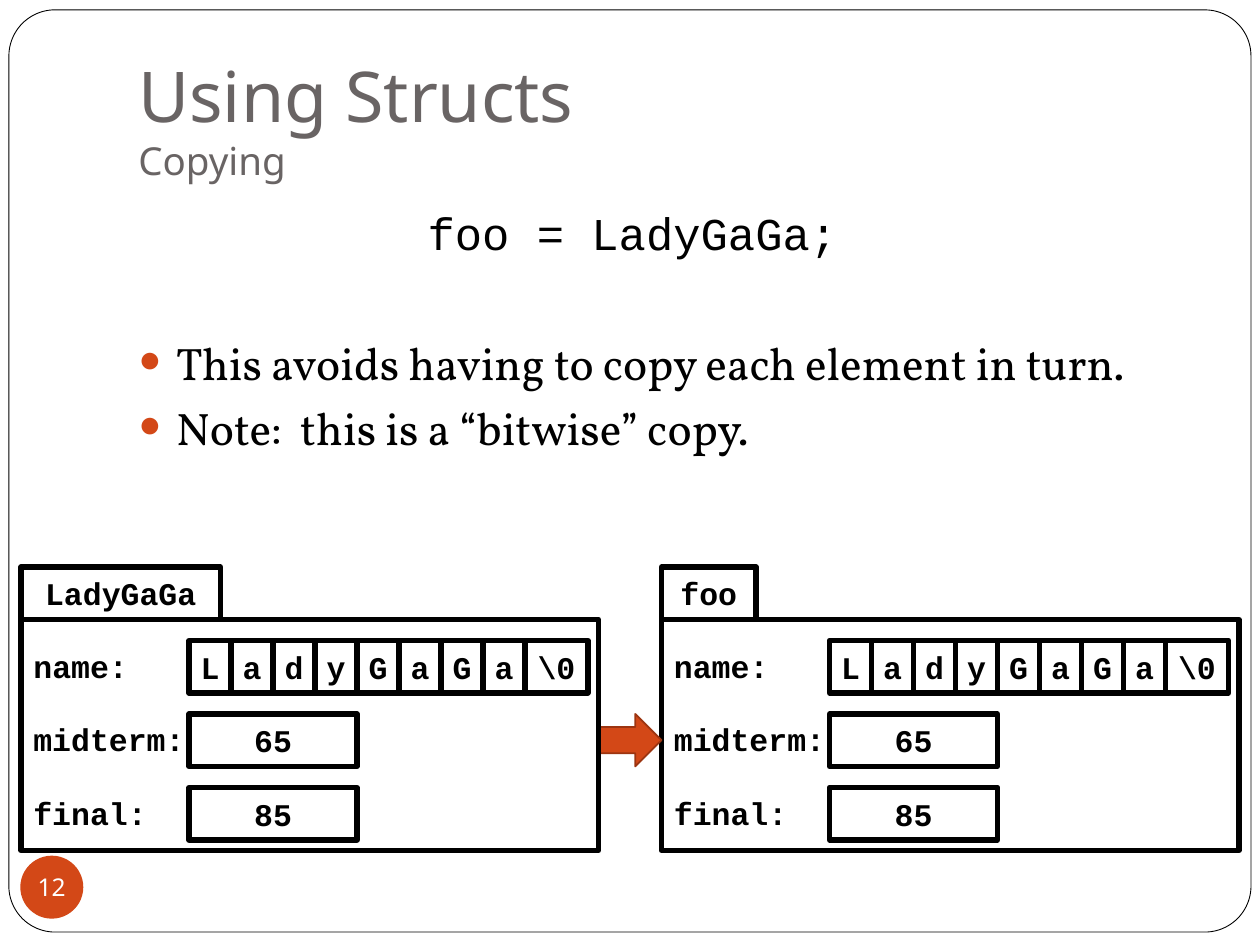
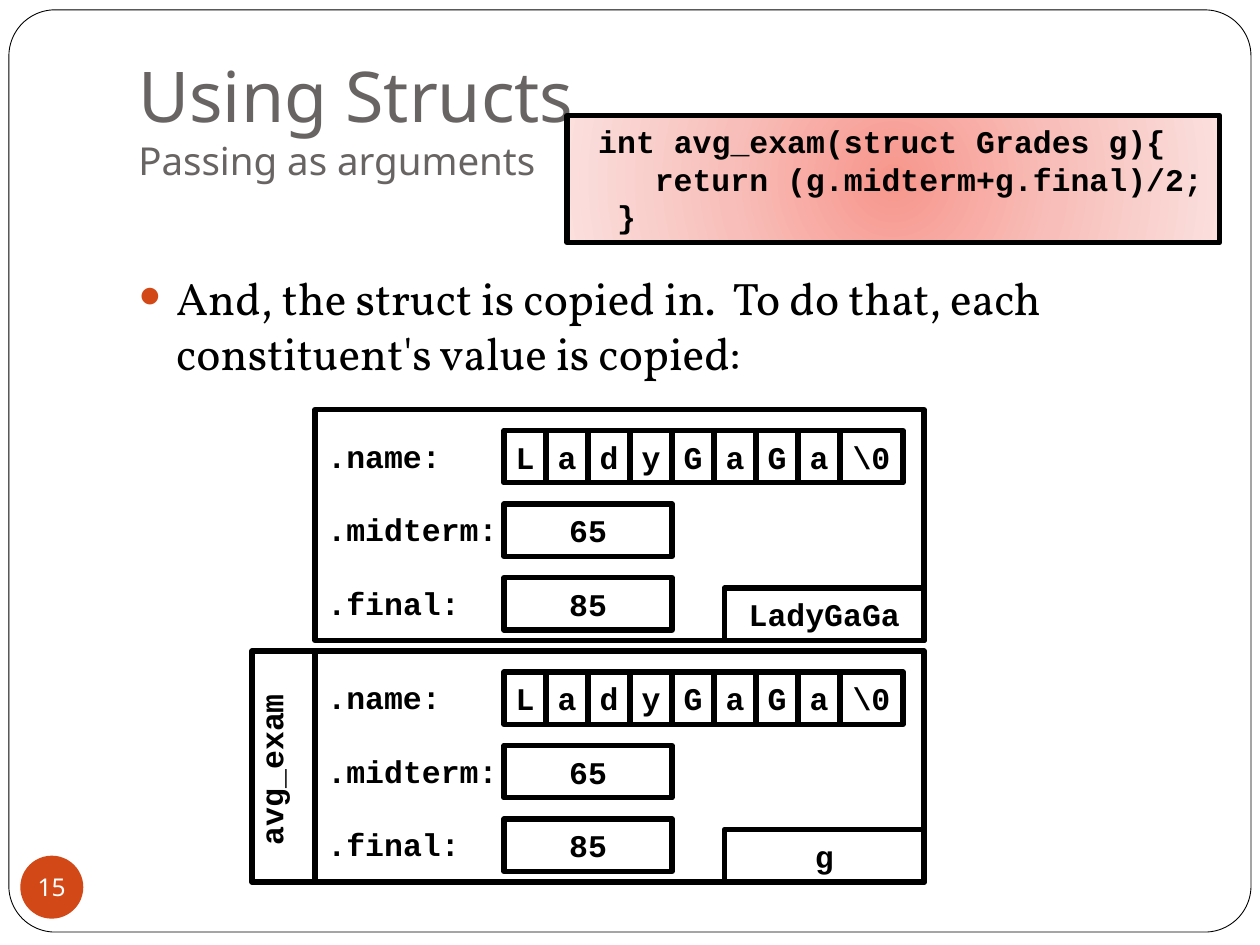
from lxml.etree import SubElement
from pptx import Presentation
from pptx.dml.color import RGBColor
from pptx.enum.shapes import MSO_SHAPE as Preset
from pptx.enum.text import MSO_ANCHOR as Anchor, MSO_AUTO_SIZE as AutoSize, PP_ALIGN as Align
from pptx.oxml import parse_xml
from pptx.oxml.ns import nsdecls, qn
from pptx.util import Cm, Pt

COLORS = {
    "ink": "000000", "paper": "FFFFFF", "title": "696464",
    "accent": "D34817", "accent_edge": "9C3511",
    "glow": "F7968C", "glow_mid": "F8BFBA", "glow_edge": "FBE0DE",
}
CODE, BODY, HEAD = "Courier New", "Vollkorn", "Noto Sans"
GRID = 2.54 / 12
CHAR = 0.38
BOX_HEIGHT, ROW_STEP, PANEL_HEIGHT = 5, 7, 22
LETTER_WIDTH, END_WIDTH, SCORE_WIDTH = 4, 6, 16
LINE_GAP, BLANK_LINE_GAP = 5.8, 43


def color(name):
    return RGBColor.from_string(COLORS[name])


def grid(*units):
    return [Cm(unit * GRID) for unit in units]


class Deck:
    def __init__(self):
        self.presentation = Presentation()
        self.presentation.slide_width = Cm(25.4)
        self.presentation.slide_height = Cm(19.05)
        self.slide = None

    def add_slide(self, subtitle, number):
        layout = self.presentation.slide_layouts[1]
        self.slide = self.presentation.slides.add_slide(layout)
        if len(self.presentation.slides) == 1:
            self.master_frame()
        self.title("Using Structs", subtitle)
        self.page_number(number)

    def format_runs(self, paragraph, font, size, ink="ink", bold=False):
        for run in paragraph.runs:
            run.font.name = font
            run.font.size = Pt(size)
            run.font.bold = bold
            run.font.color.rgb = color(ink)

    def indent(self, paragraph, left, first=0):
        properties = paragraph._p.get_or_add_pPr()
        properties.set("marL", str(Cm(left)))
        properties.set("indent", str(Cm(first)))
        return properties

    def margins(self, frame, side, top, bottom):
        frame.margin_left = frame.margin_right = Cm(side)
        frame.margin_top, frame.margin_bottom = Cm(top), Cm(bottom)

    def shape(self, preset, place, fill=None, line=None, width=3):
        shape = self.slide.shapes.add_shape(preset, *place)
        shape.shadow.inherit = False
        if fill:
            shape.fill.solid()
            shape.fill.fore_color.rgb = color(fill)
        else:
            shape.fill.background()
        if line:
            shape.line.color.rgb = color(line)
            shape.line.width = Pt(width)
        else:
            shape.line.fill.background()
        return shape

    def master_frame(self):
        place = Cm(0.18), Cm(0.2), Cm(25.04), Cm(18.59)
        frame = self.shape(Preset.ROUNDED_RECTANGLE, place, "paper", "ink", 0.5)
        frame.adjustments[0] = 0.05
        self.presentation.slide_master.shapes._spTree.append(frame._element)

    def placeholder(self, shape, top, height):
        shape.left, shape.top = Cm(2.54), Cm(top)
        shape.width, shape.height = Cm(21.59), Cm(height)
        shape.text_frame.word_wrap = True
        shape.text_frame.auto_size = AutoSize.NONE
        return shape.text_frame

    def title(self, heading, subtitle):
        frame = self.placeholder(self.slide.shapes.title, 0.76, 3.18)
        self.margins(frame, 0.25, 0.13, 0.25)
        frame.vertical_anchor = Anchor.BOTTOM
        frame.text = f"{heading}\v{subtitle}"
        paragraph = frame.paragraphs[0]
        paragraph.alignment = Align.LEFT
        self.format_runs(paragraph, HEAD, 40, "title")
        paragraph.runs[1].font.size = Pt(22)
        SubElement(paragraph._p.find(qn("a:br")), qn("a:rPr"), sz="4000")

    def body(self, bullets, code=None, top_margin=0.13):
        frame = self.placeholder(self.slide.placeholders[1], 4.01, 12.7)
        self.margins(frame, 0.25, top_margin, 0.13)
        lines = ([code] if code else []) + bullets
        frame.text = "\n".join(lines)
        for paragraph, line in zip(frame.paragraphs, lines):
            gap = BLANK_LINE_GAP if code and line == bullets[0] else LINE_GAP
            paragraph.space_before = Pt(gap)
            if line == code:
                properties = self.indent(paragraph, 5.83)
                SubElement(properties, qn("a:buNone"))
                self.format_runs(paragraph, CODE, 26)
            else:
                self.bullet(self.indent(paragraph, 0.76, -0.76))
                self.format_runs(paragraph, BODY, 26)

    def bullet(self, properties):
        tint = SubElement(properties, qn("a:buClr"))
        SubElement(tint, qn("a:srgbClr"), val=COLORS["accent"])
        SubElement(properties, qn("a:buSzPct"), val="85000")
        SubElement(properties, qn("a:buFont"), typeface=CODE)
        SubElement(properties, qn("a:buChar"), char="●")

    def centred_text(self, shape, text, font=CODE, size=18, ink="ink", bold=True):
        frame = shape.text_frame
        self.margins(frame, 0, 0, 0)
        frame.vertical_anchor = Anchor.MIDDLE
        frame.word_wrap = False
        frame.text = text
        frame.paragraphs[0].alignment = Align.CENTER
        self.format_runs(frame.paragraphs[0], font, size, ink, bold)

    def page_number(self, number):
        place = Cm(0.41), Cm(17.25), Cm(1.27), Cm(1.27)
        circle = self.shape(Preset.OVAL, place, "accent")
        self.centred_text(circle, str(number), HEAD, 14, "paper", False)

    def box(self, left, top, width, text, height=BOX_HEIGHT):
        box = self.shape(Preset.RECTANGLE, grid(left, top, width, height), line="ink")
        self.centred_text(box, text)
        return box

    def label(self, left, top, text):
        place = grid(left, top, 1.8 * len(text) + 2.4, 4.8)
        frame = self.slide.shapes.add_textbox(*place).text_frame
        frame.word_wrap = False
        frame.text = text
        self.format_runs(frame.paragraphs[0], CODE, 18, bold=True)

    def struct(self, left, top, width, value_offset, prefix=""):
        self.shape(Preset.RECTANGLE, grid(left, top, width, PANEL_HEIGHT), line="ink")
        rows = [top + 2 + ROW_STEP * row for row in range(3)]
        for row, field in zip(rows, ("name", "midterm", "final")):
            self.label(left, row, f"{prefix}{field}:")
        value_left = left + value_offset
        name = "LadyGaGa"
        for index, letter in enumerate(name):
            self.box(value_left + index * LETTER_WIDTH, rows[0], LETTER_WIDTH, letter)
        self.box(value_left + len(name) * LETTER_WIDTH, rows[0], END_WIDTH, "\\0")
        for row, score in zip(rows[1:], ("65", "85")):
            self.box(value_left, row, SCORE_WIDTH, score)

    def tabbed_struct(self, left, top, tab_width, variable):
        self.struct(left, top, 55, 16)
        self.box(left, top - BOX_HEIGHT, tab_width, variable)

    def arrow(self, left, top, width):
        place = grid(left, top, width, BOX_HEIGHT)
        self.shape(Preset.RIGHT_ARROW, place, "accent", "accent_edge", 1)

    def code_box(self, place, lines):
        box = self.shape(Preset.RECTANGLE, place, line="ink")
        stops = "".join(
            f'<a:gs pos="{position}"><a:srgbClr val="{COLORS[name]}"/></a:gs>'
            for position, name in ((0, "glow"), (50000, "glow_mid"), (100000, "glow_edge")))
        gradient = parse_xml(
            f'<a:gradFill {nsdecls("a")}><a:gsLst>{stops}</a:gsLst><a:path path="circle">'
            '<a:fillToRect l="50000" t="50000" r="50000" b="50000"/></a:path></a:gradFill>')
        properties = box._element.spPr
        properties.replace(properties.find(qn("a:noFill")), gradient)
        frame = box.text_frame
        frame.word_wrap = True
        frame.vertical_anchor = Anchor.TOP
        frame.text = "\n".join(text for _, text in lines)
        for paragraph, (columns, _) in zip(frame.paragraphs, lines):
            paragraph.alignment = Align.LEFT
            self.indent(paragraph, columns * CHAR)
            self.format_runs(paragraph, CODE, 18, bold=True)

    def side_tab(self, left, top, width, text):
        frame = self.box(left, top, width, text, PANEL_HEIGHT).text_frame
        frame._txBody.bodyPr.set("vert", "vert270")
        frame.word_wrap = True
        frame.vertical_anchor = Anchor.TOP
        frame.margin_top = Cm(0.13)


deck = Deck()

deck.add_slide("Copying", 12)
deck.body(["This avoids having to copy each element in turn.",
           "Note:  this is a “bitwise” copy."], code="foo = LadyGaGa;")
deck.tabbed_struct(63, 59, 9, "foo")
deck.arrow(57, 68, 6)
deck.tabbed_struct(2, 59, 19, "LadyGaGa")

deck.add_slide("Passing as arguments", 15)
deck.body(["And, the struct is copied in.  To do that, each "
           "constituent's value is copied:"], top_margin=1.44)
for top, variable in ((39, "LadyGaGa"), (62, "g")):
    deck.struct(30, top, 58, 18, prefix=".")
    deck.box(69, top + PANEL_HEIGHT - BOX_HEIGHT, 19, variable)
deck.side_tab(24, 62, 6, "avg_exam")
deck.code_box((Cm(11.43), Cm(2.33), Cm(13.16), Cm(2.56)), [
    (1, "int avg_exam(struct Grades g){"),
    (4, "return (g.midterm+g.final)/2;"),
    (2, "}"),
])

deck.presentation.save("out.pptx")
